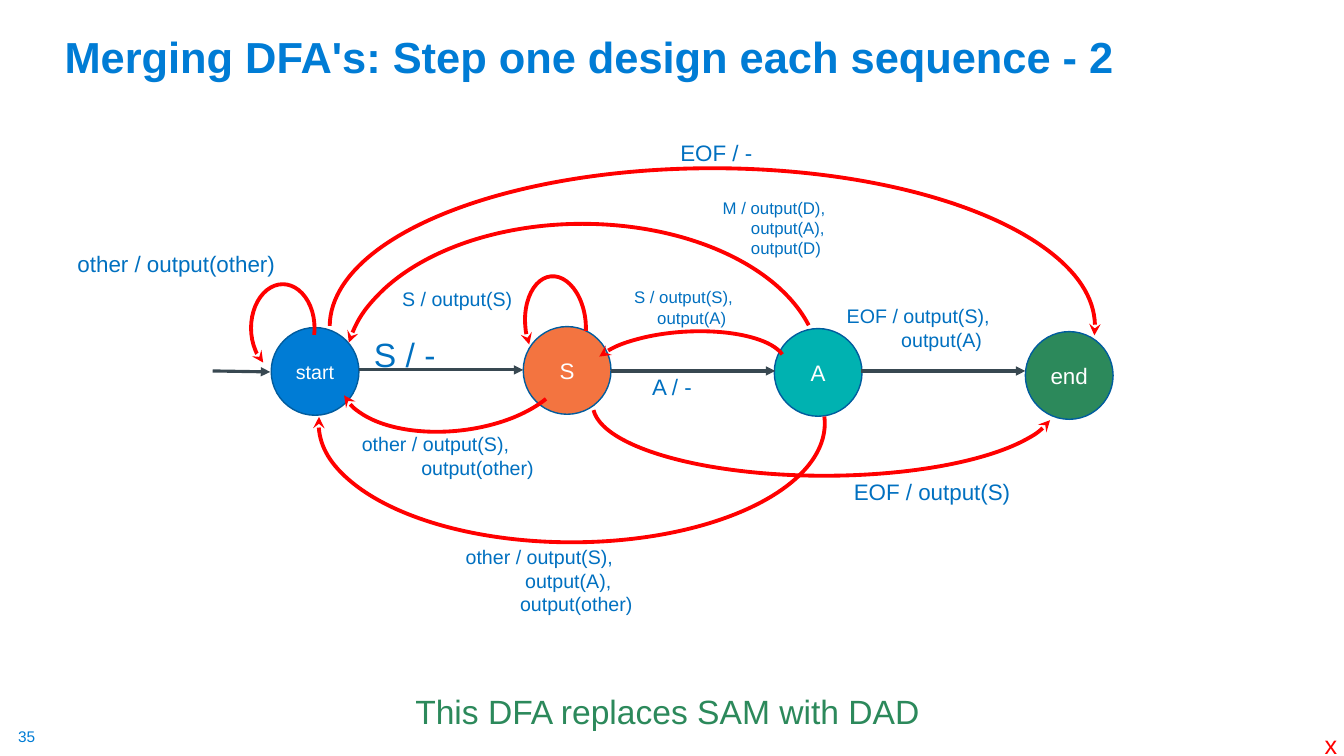
import pptx
import pptx.dml.color
import pptx.enum.shapes
import pptx.enum.text
import pptx.oxml
import pptx.oxml.ns
import pptx.util
from pptx.util import Inches

FONT = "Arial"
TITLE_BLUE = "007CD5"
LABEL_BLUE = "0070C0"
GREEN = "2C895B"
RED = "FF0000"
WHITE = "FFFFFF"
OUTLINE = "005C9E"
SLATE = "384851"

NODE_SIZE = 0.87
ARC_UNITS_PER_DEGREE = 0.6

NODES = [
    ("start", 2.69, 3.25, TITLE_BLUE, 14),
    ("S", 5.19, 3.24, "F37440", 16),
    ("A", 7.68, 3.26, "00B2B1", 16),
    ("end", 10.17, 3.29, GREEN, 16),
]

STEPS = [
    ((2.11, 3.68), (2.68, 3.69)),
    ((3.56, 3.67), (5.19, 3.67)),
    ((6.06, 3.68), (7.69, 3.68)),
    ((8.54, 3.68), (10.17, 3.68)),
]

ARCS = [
    ((5.88, 3.31, 4.59, 1.41), (181.36, 356.07), 0, "V"),
    ((2.49, 2.82, 0.63, 0.87), (167.74, 60.41), 0, "H"),
    ((3.42, 2.22, 4.71, 2.88), (190.93, 353.55), 180, "V"),
    ((3.92, 2.57, 1.16, 2.25), (112.2, 264.34), 83.8, "HV"),
    ((3.16, 3.02, 5.02, 2.36), (178.45, 1.48), 180, ""),
    ((3.27, 1.67, 7.59, 3.14), (180.09, 1.33), 180, "HV"),
    ((5.21, 2.74, 0.6, 0.95), (162.09, 32.57), 354.6, "H"),
    ((5.85, 3.29, 1.94, 0.72), (184.9, 349.51), 356.8, "H"),
]

LABELS = [
    ((3.61, 3.26, 0.91, 0.5), 24, [("S / -", 0)]),
    ((6.37, 3.65, 0.6, 0.37), 16, [("A / -", 0)]),
    ((7.07, 1.91, 1.23, 0.71), 12,
     [("M / output(D),", 0), ("output(A),", 0.28), ("output(D)", 0.28)]),
    ((8.37, 4.69, 1.78, 0.37), 16, [("EOF / output(S)", 0)]),
    ((0.67, 2.43, 2.19, 0.37), 16, [("other / output(other)", 0)]),
    ((3.49, 4.24, 1.92, 0.57), 14, [("other / output(S),", 0), ("output(other)", 0.59)]),
    ((4.52, 5.36, 1.86, 0.81), 14,
     [("other / output(S),", 0), ("output(A),", 0.59), ("output(other)", 0.54)]),
    ((8.3, 2.97, 1.63, 0.57), 14, [("EOF / output(S),", 0), ("output(A)", 0.54)]),
    ((6.65, 1.33, 0.93, 0.37), 16, [("EOF / -", 0)]),
    ((3.89, 2.8, 1.3, 0.34), 14, [("S / output(S)", 0)]),
    ((6.19, 2.8, 1.19, 0.5), 12, [("S / output(S),", 0), ("output(A)", 0.23)]),
]


def rgb(value):
    """Turn a hex string into a colour."""
    return pptx.dml.color.RGBColor.from_string(value)


def set_attributes(target, values):
    """Set every attribute named in a dict of format values."""
    for name, value in values.items():
        setattr(target, name, value)


def write_paragraph(paragraph, text, size, color, bold=False):
    """Write one run of text with its font."""
    run = paragraph.add_run()
    run.text = text
    set_attributes(run.font, {"name": FONT, "size": pptx.util.Pt(size), "bold": bold})
    run.font.color.rgb = rgb(color)


def style_line(line, color, width):
    """Give a line its colour and width."""
    line.color.rgb = rgb(color)
    line.width = pptx.util.Pt(width)


def add_arrowhead(shape, kind):
    """Put an arrowhead at the far end of a shape's line."""
    head = pptx.oxml.parse_xml(
        f'<a:tailEnd {pptx.oxml.ns.nsdecls("a")} type="{kind}"/>')
    shape.get_or_add_ln().append(head)


def add_title(slide, text):
    """Place and format the title placeholder."""
    title = slide.shapes.title
    set_attributes(title, {"left": Inches(0.54), "top": Inches(0.09),
                           "width": Inches(11.5), "height": Inches(0.78)})
    set_attributes(title.text_frame, {
        "vertical_anchor": pptx.enum.text.MSO_ANCHOR.BOTTOM,
        "auto_size": pptx.enum.text.MSO_AUTO_SIZE.NONE,
        "word_wrap": True})
    paragraph = title.text_frame.paragraphs[0]
    set_attributes(paragraph, {"alignment": pptx.enum.text.PP_ALIGN.LEFT,
                               "line_spacing": 0.9})
    write_paragraph(paragraph, text, 31, TITLE_BLUE, bold=True)


def add_label(slide, box, size, lines, color=LABEL_BLUE):
    """Add unwrapped text whose lines each have their own indent."""
    label = slide.shapes.add_textbox(*map(Inches, box))
    frame = label.text_frame
    set_attributes(frame, {"word_wrap": False,
                           "auto_size": pptx.enum.text.MSO_AUTO_SIZE.SHAPE_TO_FIT_TEXT})
    for index, (text, indent) in enumerate(lines):
        paragraph = frame.add_paragraph() if index else frame.paragraphs[0]
        if indent:
            paragraph._p.get_or_add_pPr().set("marL", str(Inches(indent)))
        write_paragraph(paragraph, text, size, color)
    return label


def add_node(slide, name, left, top, color, size):
    """Add one round state of the automaton."""
    node = slide.shapes.add_shape(
        pptx.enum.shapes.MSO_SHAPE.OVAL,
        *map(Inches, (left, top, NODE_SIZE, NODE_SIZE)))
    node.shadow.inherit = False
    node.fill.solid()
    node.fill.fore_color.rgb = rgb(color)
    style_line(node.line, OUTLINE, 1)
    set_attributes(node.text_frame, {
        "vertical_anchor": pptx.enum.text.MSO_ANCHOR.MIDDLE, "word_wrap": False})
    paragraph = node.text_frame.paragraphs[0]
    paragraph.alignment = pptx.enum.text.PP_ALIGN.CENTER
    write_paragraph(paragraph, name, size, WHITE)


def add_step(slide, start, end):
    """Add a straight arrow between states."""
    step = slide.shapes.add_connector(
        pptx.enum.shapes.MSO_CONNECTOR.STRAIGHT, *map(Inches, start + end))
    style_line(step.line, SLATE, 2.25)
    add_arrowhead(step, "triangle")
    step.element.spPr.append(
        pptx.oxml.parse_xml(f'<a:effectLst {pptx.oxml.ns.nsdecls("a")}/>'))


def add_arc(slide, box, angles, rotation, flips):
    """Add a curved arrow from its angles in degrees."""
    arc = slide.shapes.add_shape(pptx.enum.shapes.MSO_SHAPE.ARC, *map(Inches, box))
    arc.shadow.inherit = False
    arc.fill.background()
    arc.rotation = rotation
    for index, angle in enumerate(angles):
        arc.adjustments[index] = angle * ARC_UNITS_PER_DEGREE
    for axis in flips:
        arc.element.spPr.get_or_add_xfrm().set(f"flip{axis}", "1")
    style_line(arc.line, RED, 2.75)
    add_arrowhead(arc, "stealth")


def main():
    """Build the slide and save it."""
    presentation = pptx.Presentation()
    set_attributes(presentation, {"slide_width": Inches(13.33),
                                  "slide_height": Inches(7.5)})
    slide = presentation.slides.add_slide(presentation.slide_layouts[5])
    add_title(slide, "Merging DFA's: Step one design each sequence - 2")
    number = add_label(slide, (0.18, 7.21, 0.19, 0.19), 11, [("35", 0)], TITLE_BLUE)
    set_attributes(number.text_frame, dict.fromkeys(
        ("margin_left", "margin_top", "margin_right", "margin_bottom"), 0))
    add_label(slide, (4.02, 6.81, 5.25, 0.5), 24,
              [("This DFA replaces SAM with DAD", 0)], GREEN)
    add_label(slide, (13.04, 7.19, 0.33, 0.4), 18, [("x", 0)], RED)
    for node in NODES:
        add_node(slide, *node)
    for step in STEPS:
        add_step(slide, *step)
    for arc in ARCS:
        add_arc(slide, *arc)
    for label in LABELS:
        add_label(slide, *label)
    presentation.save("out.pptx")


if __name__ == "__main__":
    main()
